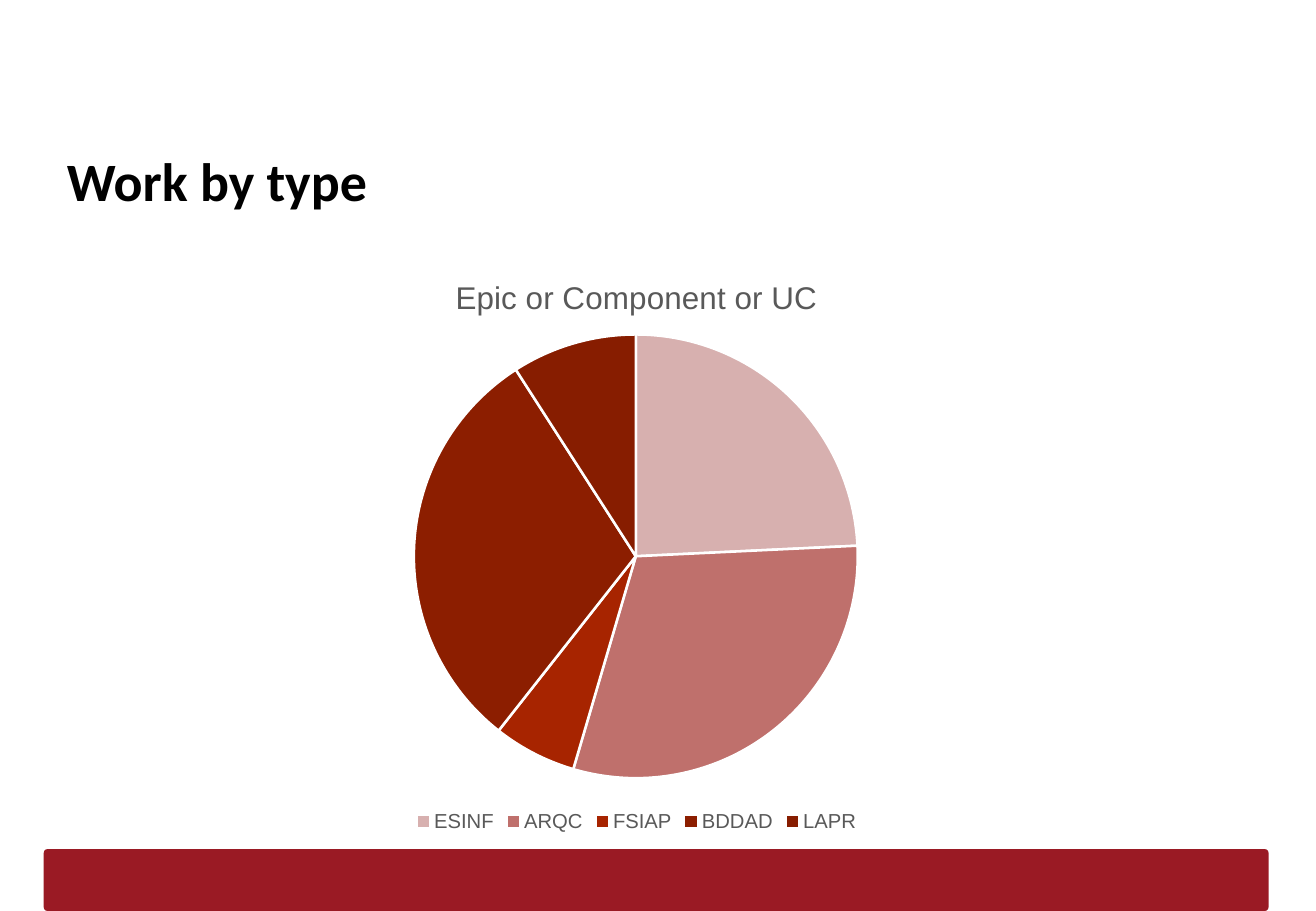
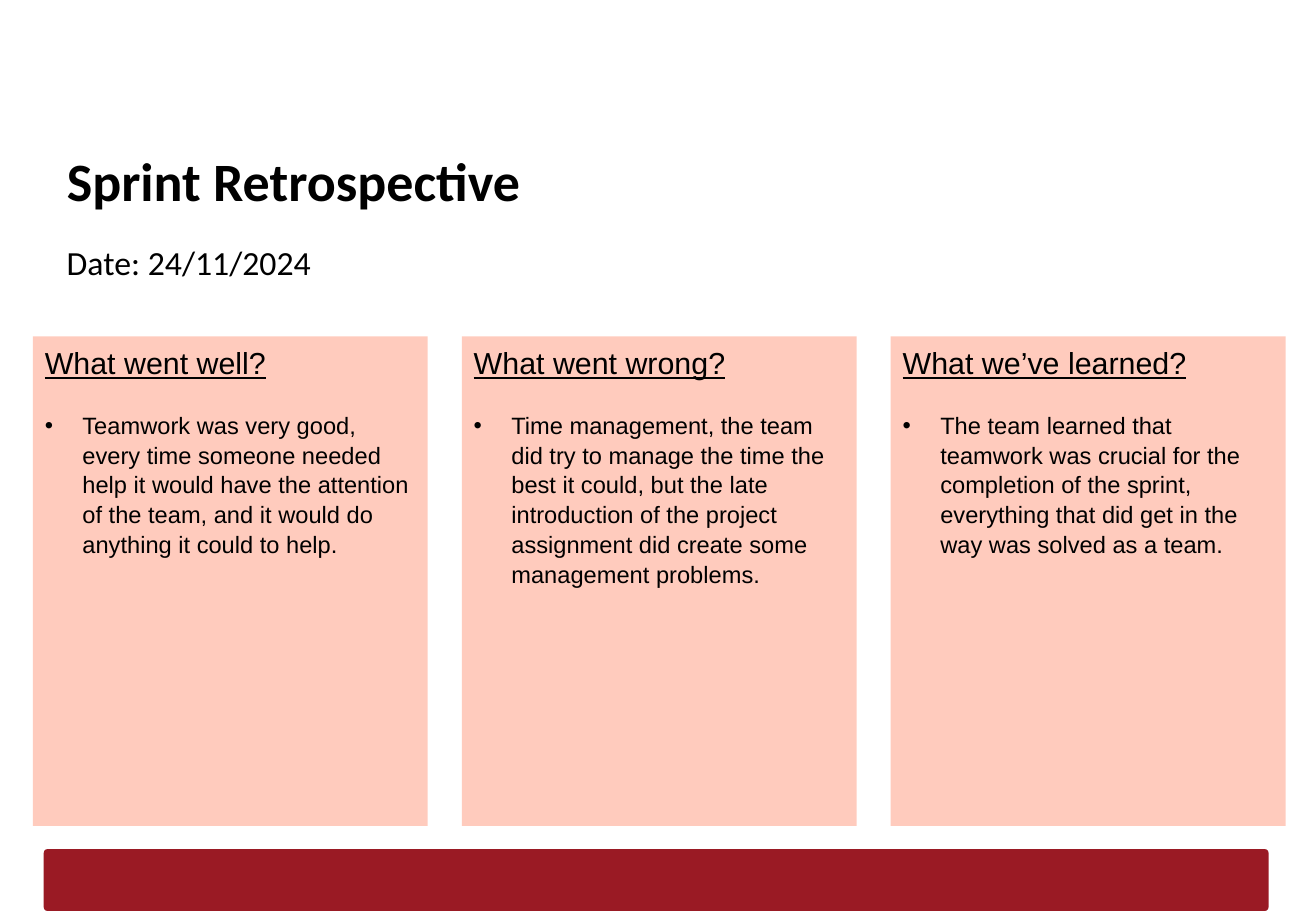
"""Build two sprint review slides: work by type and the retrospective."""
from lxml.etree import SubElement
from pptx import Presentation
from pptx.chart.data import CategoryChartData as ChartData
from pptx.dml.color import RGBColor as RGB
from pptx.enum.chart import XL_CHART_TYPE as Kind, XL_LEGEND_POSITION as Side
from pptx.enum.shapes import MSO_SHAPE as Form
from pptx.enum.text import MSO_ANCHOR as Anchor, MSO_AUTO_SIZE as Fit, PP_ALIGN as Align
from pptx.oxml import parse_xml
from pptx.oxml.ns import nsdecls, qn
from pptx.util import Inches, Pt

COLORS = {"band": "9A1A24", "card": "FFCBBD", "ink": "000000",
          "gray": "595959", "edge": "FFFFFF"}
HEAD, BODY = "Calibri", "Arial"

WORK = {
    "title": "Work by type",
    "chart": "Epic or Component or UC",
    "parts": [("ESINF", 24, "D7B0AF"), ("ARQC", 30, "BF706C"),
              ("FSIAP", 6, "A72400"), ("BDDAD", 30, "8C1E00"),
              ("LAPR", 9, "871D00")],
}
RETRO = {
    "title": "Sprint Retrospective",
    "date": "Date: 24/11/2024",
    "cards": [
        ("What went well?",
         "Teamwork was very good, every time someone needed help it would have "
         "the attention of the team, and it would do anything it could to help."),
        ("What went wrong?",
         "Time management, the team did try to manage the time the best it could, "
         "but the late introduction of the project assignment did create some "
         "management problems."),
        ("What we’ve learned?",
         "The team learned that teamwork was crucial for the completion of the "
         "sprint, everything that did get in the way was solved as a team."),
    ],
}
PLOT = {"x": 0.246, "y": 0.14, "w": 0.506, "h": 0.76}


def rgb(name):
    return RGB.from_string(COLORS[name])


def style(font, face, size, color="ink", bold=False):
    font.name, font.size, font.bold = face, Pt(size), bold
    font.color.rgb = rgb(color)


def write(para, text, face, size, bold=False):
    para.text = text
    para.alignment = Align.LEFT
    para.line_spacing = 1.05
    style(para.font, face, size, bold=bold)


def frame(shape, inset):
    text = shape.text_frame
    text.word_wrap, text.auto_size = True, Fit.NONE
    text.vertical_anchor = Anchor.TOP
    text.margin_left = text.margin_right = Inches(0.1)
    text.margin_top = text.margin_bottom = Inches(inset)
    return text


def place(shape, left, top, width, height):
    shape.left, shape.top = Inches(left), Inches(top)
    shape.width, shape.height = Inches(width), Inches(height)


def block(slide, form, color, *box):
    shape = slide.shapes.add_shape(form, *map(Inches, box))
    shape.shadow.inherit = False
    shape.fill.solid()
    shape.fill.fore_color.rgb = rgb(color)
    shape.line.fill.background()
    return shape


def base(deck, title):
    slide = deck.slides.add_slide(deck.slide_layouts[5])
    band = block(slide, Form.ROUNDED_RECTANGLE, "band", 0.36, 6.99, 10.08, 0.51)
    band.adjustments[0] = 0.062
    place(slide.shapes.title, 0.45, 1.09, 9.89, 0.63)
    write(frame(slide.shapes.title, 0.1).paragraphs[0], title, HEAD, 32, True)
    return slide


def bullet(para):
    props = para._p.get_or_add_pPr()
    props.set("marL", str(Inches(0.31)))
    props.set("indent", str(-Inches(0.31)))
    SubElement(props, qn("a:buFont")).set("typeface", BODY)
    SubElement(props, qn("a:buChar")).set("char", "•")
    fonts = props.find(qn("a:defRPr"))
    if fonts is not None:
        props.append(fonts)


def fix_plot(chart):
    area = chart._chartSpace.chart.plotArea
    for old in area.findall(qn("c:layout")):
        area.remove(old)
    rules = [("layoutTarget", "inner"), ("xMode", "edge"), ("yMode", "edge"),
             *PLOT.items()]
    marks = "".join(f'<c:{tag} val="{val}"/>' for tag, val in rules)
    area.insert(0, parse_xml(f'<c:layout {nsdecls("c")}><c:manualLayout>{marks}'
                             '</c:manualLayout></c:layout>'))


def add_work(deck):
    slide = base(deck, WORK["title"])
    names, vals, tints = zip(*WORK["parts"])
    data = ChartData()
    data.categories = names
    data.add_series("Series 1", vals)
    box = map(Inches, (1.63, 2.08, 7.22, 4.81))
    chart = slide.shapes.add_chart(Kind.PIE, *box, data).chart
    style(chart.font, BODY, 10)
    chart.has_title = True
    head = chart.chart_title.text_frame.paragraphs[0]
    head.text = WORK["chart"]
    style(head.font, BODY, 18.6, "gray")
    chart.has_legend = True
    chart.legend.position = Side.BOTTOM
    chart.legend.include_in_layout = False
    style(chart.legend.font, BODY, 12, "gray")
    pie = chart.plots[0]
    pie.vary_by_categories = True
    for i, tint in enumerate(tints):
        look = pie.series[0].points[i].format
        look.fill.solid()
        look.fill.fore_color.rgb = RGB.from_string(tint)
        look.line.color.rgb = rgb("edge")
        look.line.width = Pt(1.5)
    fix_plot(chart)


def add_retro(deck):
    slide = base(deck, RETRO["title"])
    date = slide.shapes.add_textbox(*map(Inches, (0.45, 1.87, 9.89, 0.6)))
    write(frame(date, 0.1).paragraphs[0], RETRO["date"], HEAD, 20)
    for i, (head, note) in enumerate(RETRO["cards"]):
        card = block(slide, Form.RECTANGLE, "card", 0.27 + i * 3.53, 2.77, 3.25, 4.03)
        text = frame(card, 0.05)
        top = text.paragraphs[0]
        write(top, head, BODY, 18)
        top.font.underline = True
        top.space_after = Pt(17)
        item = text.add_paragraph()
        write(item, note, BODY, 14)
        bullet(item)


def main():
    deck = Presentation()
    deck.slide_width, deck.slide_height = Inches(10.83), Inches(7.5)
    add_work(deck)
    add_retro(deck)
    deck.save("out.pptx")


if __name__ == "__main__":
    main()
